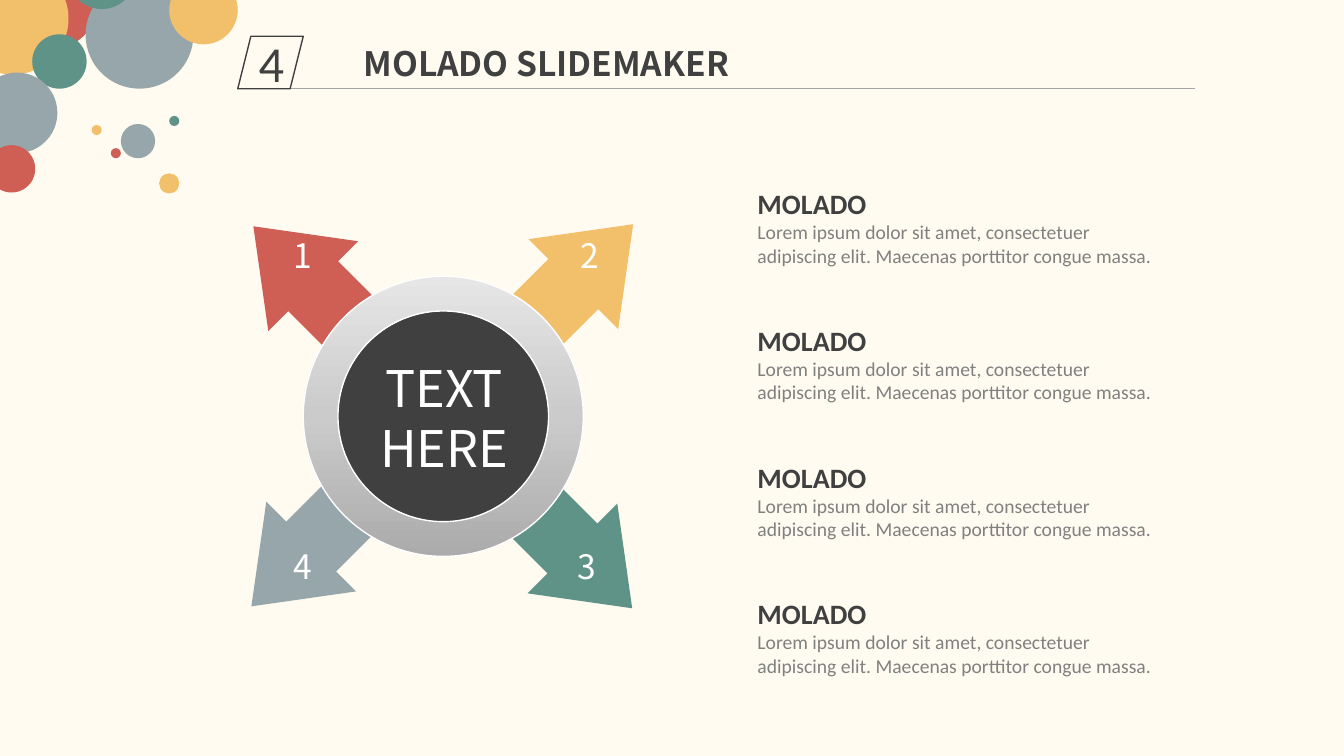
"""Build a slide with four arrows around a hub, four captions and a bubble corner."""
from copy import deepcopy
from dataclasses import dataclass

from pptx import Presentation
from pptx.dml.color import RGBColor
from pptx.enum import shapes, text
from pptx.oxml import ns
from pptx.util import Inches, Pt


@dataclass(frozen=True)
class Theme:
    cream: str = "FFFBF0"
    red: str = "CF5F55"
    yellow: str = "F2C06B"
    green: str = "5F9387"
    gray: str = "97A6AB"
    dark: str = "404040"
    body: str = "808080"
    rule: str = "A6A6A6"
    white: str = "FFFFFF"
    ring: tuple = ("ABABAB", "CBCBCB", "E6E6E6")
    display_font: str = "Noto Sans CJK SC"
    text_font: str = "Calibri"
    large: int = 36
    title: int = 24
    heading: int = 20
    small: int = 14


theme = Theme()
Kind = shapes.MSO_SHAPE
Align = text.PP_ALIGN


def add_figure(parent, kind, left, top, width, height, color=None):
    figure = parent.add_shape(kind, Inches(left), Inches(top), Inches(width), Inches(height))
    figure.shadow.inherit = False
    figure.line.fill.background()
    if color:
        figure.fill.solid()
        figure.fill.fore_color.rgb = RGBColor.from_string(color)
    else:
        figure.fill.background()
    return figure


def write(holder, words, styles, align=Align.LEFT, wrap=True):
    frame = holder.text_frame
    frame.word_wrap = wrap
    frame.text = words
    for paragraph, (font, size, color, bold) in zip(frame.paragraphs, styles):
        paragraph.alignment = align
        for run in paragraph.runs:
            run.font.name = font
            run.font.size = Pt(size)
            run.font.bold = bold
            run.font.color.rgb = RGBColor.from_string(color)


deck = Presentation()
deck.slide_width, deck.slide_height = Inches(13.34), Inches(7.5)
slide = deck.slides.add_slide(deck.slide_layouts[6])
slide.background.fill.solid()
slide.background.fill.fore_color.rgb = RGBColor.from_string(theme.cream)
canvas = slide.shapes

arrows = [
    (4.91, 4.26, 135, theme.green),
    (2.6, 4.24, 225, theme.gray),
    (2.62, 1.94, 315, theme.red),
    (4.92, 1.92, 45, theme.yellow),
]
for left, top, angle, color in arrows:
    arrow = add_figure(canvas, Kind.UP_ARROW, left, top, 1.26, 2.08, color)
    arrow.adjustments[0], arrow.adjustments[1] = 0.556, 0.667
    arrow.rotation = angle

add_figure(canvas, Kind.OVAL, 3.01, 2.74, 2.78, 2.78, theme.dark)
ring = add_figure(canvas, Kind.DONUT, 3.01, 2.74, 2.78, 2.78)
ring.adjustments[0] = 0.124
ring.fill.gradient()
ring.fill.gradient_angle = 90
stop_list = ring.element.spPr.find(ns.qn("a:gradFill")).find(ns.qn("a:gsLst"))
stop_list.insert(1, deepcopy(stop_list[0]))
for stop, position, color in zip(ring.fill.gradient_stops, (0, 0.5, 1), theme.ring):
    stop.position = position
    stop.color.rgb = RGBColor.from_string(color)
ring.line.color.rgb = RGBColor.from_string(theme.white)
ring.line.width = Pt(1)

number_style = (theme.display_font, theme.title, theme.white, False)
for digit, left, top in [("2", 5.65, 2.28), ("1", 2.81, 2.28), ("4", 2.81, 5.37), ("3", 5.62, 5.37)]:
    number = canvas.add_textbox(Inches(left), Inches(top), Inches(0.4), Inches(0.5))
    write(number, digit, [number_style], Align.CENTER, False)

hub_label = canvas.add_textbox(Inches(3.67), Inches(3.49), Inches(1.48), Inches(1.31))
hub_style = (theme.display_font, theme.large, theme.white, False)
write(hub_label, "TEXT\nHERE", [hub_style] * 2, Align.CENTER, False)

caption_styles = [
    (theme.text_font, theme.heading, theme.dark, True),
    (theme.text_font, theme.small, theme.body, False),
]
caption_words = (
    "MOLADO\nLorem ipsum dolor sit amet, consectetuer "
    "adipiscing elit. Maecenas porttitor congue massa."
)
for row in range(4):
    caption = canvas.add_textbox(Inches(7.42), Inches(1.8 + row * 1.357), Inches(4.12), Inches(0.91))
    write(caption, caption_words, caption_styles)

bubbles = [
    (0.04, -0.44, 0.93, theme.red),
    (-0.43, -0.37, 1.11, theme.yellow),
    (0.32, 0.34, 0.54, theme.green),
    (-0.23, 0.72, 0.8, theme.gray),
    (0.85, -0.19, 1.07, theme.gray),
    (0.67, -0.59, 0.68, theme.green),
    (-0.12, 1.44, 0.47, theme.red),
    (1.2, 1.23, 0.34, theme.gray),
    (1.1, 1.47, 0.1, theme.red),
    (0.91, 1.24, 0.1, theme.yellow),
    (1.68, 1.15, 0.1, theme.green),
    (1.58, 1.72, 0.2, theme.yellow),
    (1.68, -0.24, 0.68, theme.yellow),
]
corner = canvas.add_group_shape()
for left, top, diameter, color in bubbles:
    add_figure(corner.shapes, Kind.OVAL, left, top, diameter, diameter, color)

title_rule = canvas.add_connector(
    shapes.MSO_CONNECTOR.STRAIGHT, Inches(2.84), Inches(0.88), Inches(11.86), Inches(0.88)
)
title_rule.line.color.rgb = RGBColor.from_string(theme.rule)
title_rule.line.width = Pt(0.5)
title_rule.element.spPr.add_effectLst() if hasattr(
    title_rule.element.spPr, "add_effectLst"
) else title_rule.element.spPr.append(
    title_rule.element.spPr.makeelement(ns.qn("a:effectLst"), {})
)

section_badge = add_figure(canvas, Kind.PARALLELOGRAM, 2.36, 0.36, 0.65, 0.52)
section_badge.line.color.rgb = RGBColor.from_string(theme.dark)
section_badge.line.width = Pt(1)
section_badge.text_frame.vertical_anchor = text.MSO_ANCHOR.MIDDLE
write(section_badge, "4", [(theme.text_font, theme.large, theme.dark, False)], Align.CENTER)

title = canvas.add_textbox(Inches(3.51), Inches(0.38), Inches(5.13), Inches(0.5))
write(title, "MOLADO SLIDEMAKER", [(theme.display_font, theme.title, theme.dark, True)])

deck.save("out.pptx")
